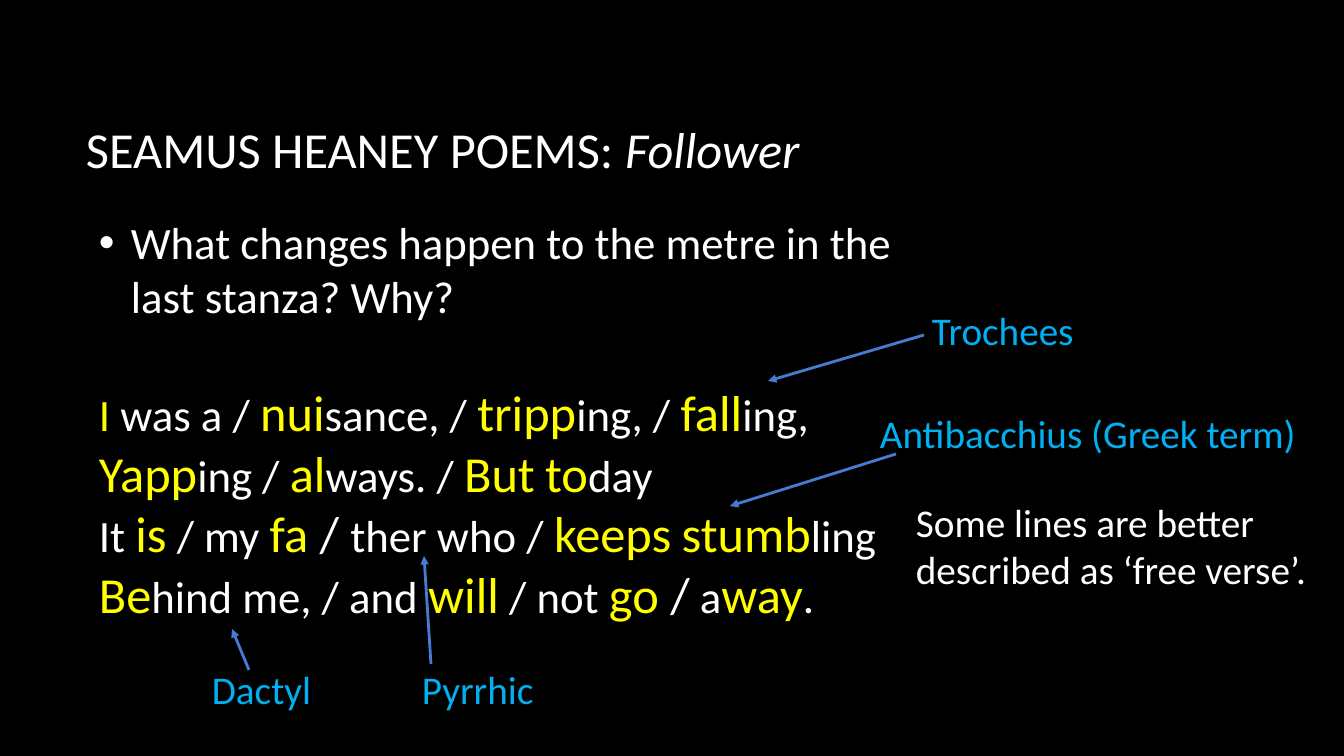
"""Build the slide on metre in the last stanza of Seamus Heaney's Follower."""
import pptx
import pptx.util
import pptx.dml.color
import pptx.enum.shapes
import pptx.enum.text
import lxml.etree

PX = 914400 / 100.8
WHITE, YELLOW, SKY, BLUE = "FFFFFF", "FFFF00", "00B0F0", "477BD1"


def colour(hex_string):
    return pptx.dml.color.RGBColor.from_string(hex_string)


def write(text, paragraph=None, box=None, size=28, color=WHITE, italic=False, anchor="TOP"):
    if paragraph is None:
        frame = slide.shapes.add_textbox(*[round(n * PX) for n in box]).text_frame
        frame.word_wrap = True
        frame.vertical_anchor = pptx.enum.text.MSO_ANCHOR[anchor]
        paragraph = frame.paragraphs[0]
    run = paragraph.add_run()
    run.text = text
    run.font.name = "Calibri"
    run.font.size = pptx.util.Pt(size)
    run.font.italic = italic
    run.font.color.rgb = colour(color)
    return paragraph, run


deck = pptx.Presentation()
deck.slide_width, deck.slide_height = round(1344 * PX), round(756 * PX)
slide = deck.slides.add_slide(deck.slide_layouts[6])
slide.background.fill.solid()
slide.background.fill.fore_color.rgb = colour("000000")

title, _ = write("SEAMUS HEANEY POEMS: ", box=(76, 68, 1117, 160), size=36, anchor="MIDDLE")
write("Follower", paragraph=title, size=36, italic=True)

question, _ = write("What changes happen to the metre in the last stanza? Why?",
                    box=(89, 210, 833, 430), size=32)
question.space_after = pptx.util.Pt(42)
indent = question._p.get_or_add_pPr()
indent.set("marL", str(round(32 * PX)))
indent.set("indent", str(round(-32 * PX)))
drawing = "{http://schemas.openxmlformats.org/drawingml/2006/main}"
lxml.etree.SubElement(indent, drawing + "buFont", typeface="Arial")
lxml.etree.SubElement(indent, drawing + "buChar", char="•")

plain = {"size": 32}
large = {"size": 36}
stress = {"size": 36, "color": YELLOW}
stanza = [
    [("I", {"size": 32, "color": YELLOW}), (" was a / ", plain), ("nui", stress),
     ("sance, / ", plain), ("tripp", stress), ("ing, / ", plain), ("fall", stress),
     ("ing,", plain)],
    [("Yapp", stress), ("ing / ", plain), ("al", stress), ("ways. / ", plain),
     ("But", stress), (" ", plain), ("to", stress), ("day", plain)],
    [("It ", plain), ("is", stress), (" / my ", plain), ("fa ", stress), ("/ ", large),
     ("ther who / ", plain), ("keeps", stress), (" ", plain), ("stumb", stress),
     ("ling", plain)],
    [("Be", stress), ("hind me, / and ", plain), ("will", stress), (" / not ", plain),
     ("go ", stress), ("/", large), (" a", plain), ("way", stress), (".", plain)],
]
verse = slide.shapes[-1].text_frame.add_paragraph()
for number, line in enumerate(stanza):
    if number:
        verse.add_line_break()
    for syllables, style in line:
        write(syllables, paragraph=verse, **style)

notes = [
    ("Trochees", (922, 301, 421, 57), SKY),
    ("Some lines are better described as ‘free verse’.", (906, 493, 421, 105), WHITE),
    ("Dactyl", (202, 660, 421, 57), SKY),
    ("Antibacchius (Greek term)", (870, 404, 459, 57), SKY),
    ("Pyrrhic", (412, 660, 421, 57), SKY),
]
for note, place, tint in notes:
    write(note, box=place, color=tint)

pointers = [
    (924, 335, 768, 381),
    (249, 670, 232, 629),
    (896, 454, 730, 506),
    (431, 664, 424, 556),
]
for ends in pointers:
    pointer = slide.shapes.add_connector(
        pptx.enum.shapes.MSO_CONNECTOR.STRAIGHT, *[round(n * PX) for n in ends])
    pointer.line.color.rgb = colour(BLUE)
    pointer.line.width = pptx.util.Pt(2)
    lxml.etree.SubElement(pointer.line._get_or_add_ln(), drawing + "tailEnd", type="triangle")
    lxml.etree.SubElement(pointer._element.spPr, drawing + "effectLst")

deck.save("out.pptx")
